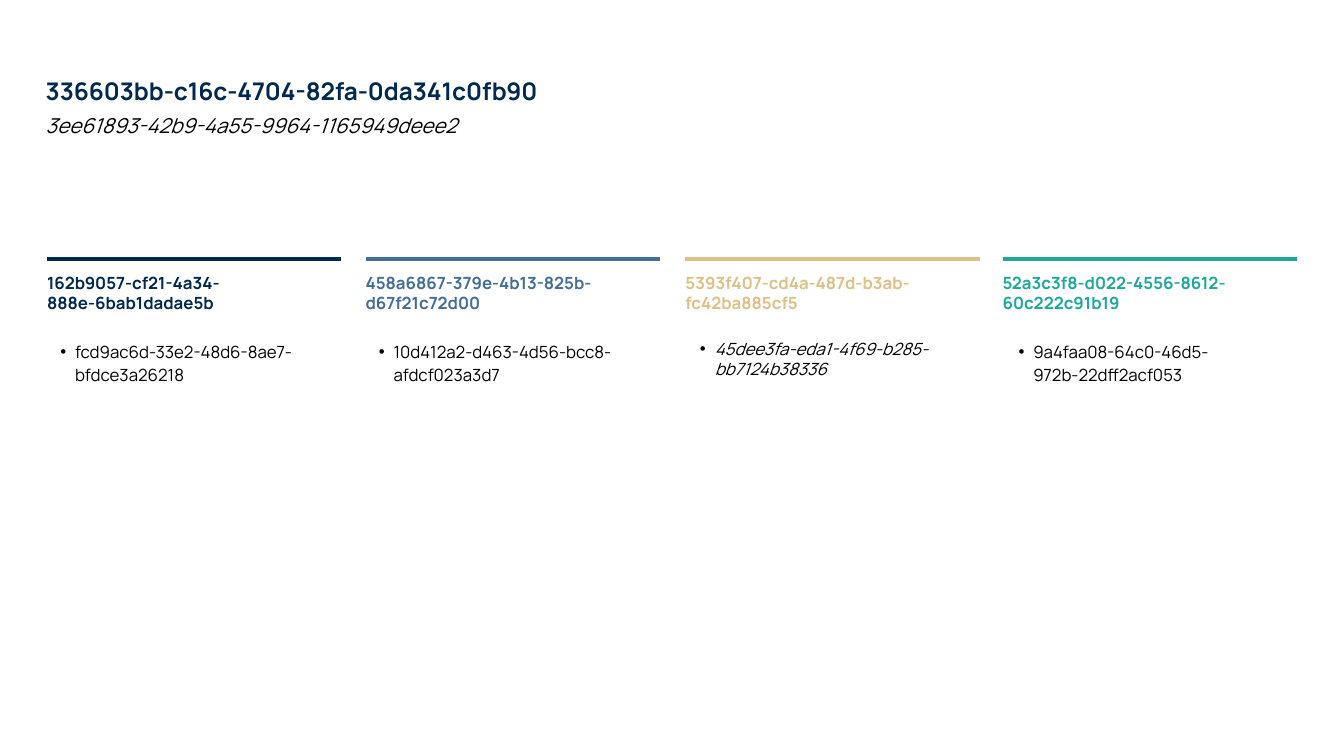
from dataclasses import dataclass

from lxml.etree import SubElement
from pptx import Presentation
from pptx.dml.color import RGBColor
from pptx.enum.shapes import MSO_CONNECTOR
from pptx.enum.text import MSO_ANCHOR, MSO_AUTO_SIZE, PP_ALIGN
from pptx.oxml.ns import qn
from pptx.util import Inches, Pt


@dataclass(frozen=True)
class Theme:
    font: str = "Manrope"
    bullet_font: str = "Arial"
    navy: str = "01284F"
    blue: str = "436E99"
    sand: str = "DCC086"
    teal: str = "1EA89B"
    black: str = "000000"
    title_size: float = 13
    subtitle_size: float = 11
    body_size: float = 9
    rule_width: float = 2.25


@dataclass(frozen=True)
class Column:
    x: float
    bullet_x: float
    heading: str
    bullet: str
    color: str
    italic: bool = False
    line_spacing: float = 1.14


THEME = Theme()
COLUMN_W, HEADING_H, BULLET_H = 2.19, 0.44, 2.28
RULE_Y, BULLET_Y = 1.93, 2.47
HEADING_INSETS, BULLET_INSETS = (0, 0.1), (0.1, 0.05)

COLUMNS = [
    Column(0.35, 0.35, "162b9057-cf21-4a34-888e-6bab1dadae5b",
           "fcd9ac6d-33e2-48d6-8ae7-bfdce3a26218", THEME.navy),
    Column(2.72, 2.72, "458a6867-379e-4b13-825b-d67f21c72d00",
           "10d412a2-d463-4d56-bcc8-afdcf023a3d7", THEME.blue),
    Column(5.1, 5.11, "5393f407-cd4a-487d-b3ab-fc42ba885cf5",
           "45dee3fa-eda1-4f69-b285-bb7124b38336", THEME.sand,
           italic=True, line_spacing=1.0),
    Column(7.46, 7.48, "52a3c3f8-d022-4556-8612-60c222c91b19",
           "9a4faa08-64c0-46d5-972b-22dff2acf053", THEME.teal),
]


def add_bullet(p, color: str) -> None:
    """Give the paragraph a hanging bullet and space after."""
    p.space_after = Pt(6)
    pPr = p._p.get_or_add_pPr()
    pPr.set("marL", str(Inches(0.11)))
    pPr.set("indent", str(-Inches(0.11)))
    SubElement(SubElement(pPr, qn("a:buClr")), qn("a:srgbClr"), val=color)
    SubElement(pPr, qn("a:buFont"), typeface=THEME.bullet_font)
    SubElement(pPr, qn("a:buChar"), char="•")


def write_text(sp, text: str, *, size: float, color: str = THEME.black,
               bold: bool = False, italic: bool = False,
               insets: tuple[float, float] = HEADING_INSETS,
               line_spacing: float = 1.0, bullet: bool = False) -> None:
    tf = sp.text_frame
    tf.word_wrap = True
    tf.auto_size = MSO_AUTO_SIZE.NONE
    tf.vertical_anchor = MSO_ANCHOR.TOP
    tf.margin_left = tf.margin_right = Inches(insets[0])
    tf.margin_top = tf.margin_bottom = Inches(insets[1])
    p = tf.paragraphs[0]
    p.alignment = PP_ALIGN.LEFT
    p.line_spacing = line_spacing
    if bullet:
        add_bullet(p, color)
    r = p.add_run()
    r.text = text
    r.font.name = THEME.font
    r.font.size = Pt(size)
    r.font.bold = bold
    r.font.italic = italic
    r.font.color.rgb = RGBColor.from_string(color)


def add_text(s, x: float, y: float, w: float, h: float, text: str, **fmt) -> None:
    sp = s.shapes.add_textbox(Inches(x), Inches(y), Inches(w), Inches(h))
    write_text(sp, text, **fmt)


def add_rule(s, x: float, color: str) -> None:
    line = s.shapes.add_connector(
        MSO_CONNECTOR.STRAIGHT, Inches(x), Inches(RULE_Y),
        Inches(x + COLUMN_W), Inches(RULE_Y))
    line.line.color.rgb = RGBColor.from_string(color)
    line.line.width = Pt(THEME.rule_width)
    SubElement(line._element.spPr, qn("a:effectLst"))


def add_column(s, column: Column) -> None:
    add_rule(s, column.x, column.color)
    add_text(s, column.x, RULE_Y, COLUMN_W, HEADING_H, column.heading,
             size=THEME.body_size, color=column.color, bold=True)
    add_text(s, column.bullet_x, BULLET_Y, COLUMN_W, BULLET_H, column.bullet,
             size=THEME.body_size, italic=column.italic, insets=BULLET_INSETS,
             line_spacing=column.line_spacing, bullet=True)


def main() -> None:
    prs = Presentation()
    prs.slide_width = Inches(10)
    prs.slide_height = prs.slide_width * 9 // 16
    s = prs.slides.add_slide(prs.slide_layouts[5])

    title = s.shapes.title
    title.left, title.top = Inches(0.34), Inches(0.47)
    title.width, title.height = Inches(9.32), Inches(0.44)
    write_text(title, "336603bb-c16c-4704-82fa-0da341c0fb90",
               size=THEME.title_size, color=THEME.navy, bold=True)
    add_text(s, 0.34, 0.74, 9.32, 0.44, "3ee61893-42b9-4a55-9964-1165949deee2",
             size=THEME.subtitle_size, italic=True)

    for column in COLUMNS:
        add_column(s, column)
    prs.save("out.pptx")


if __name__ == "__main__":
    main()
